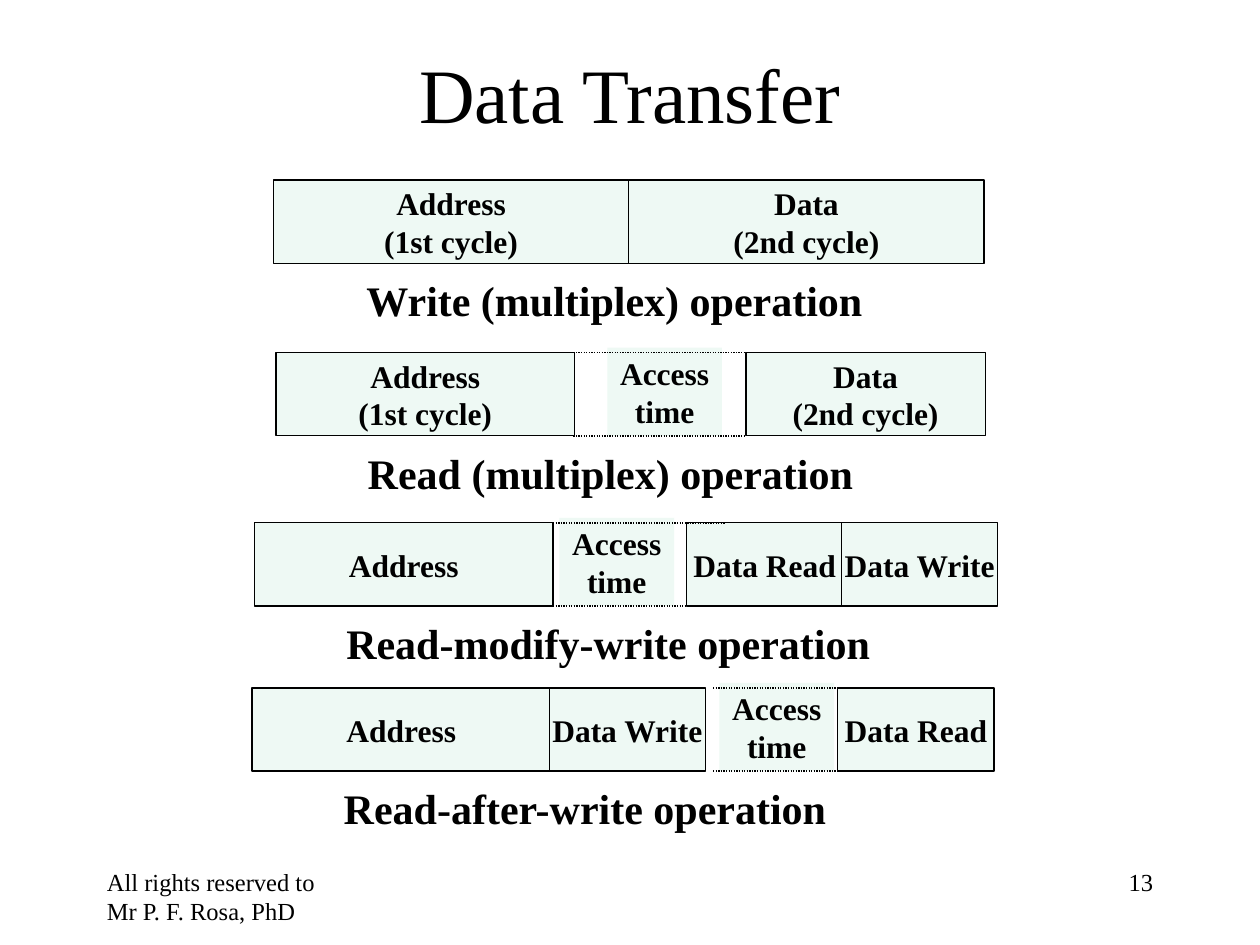
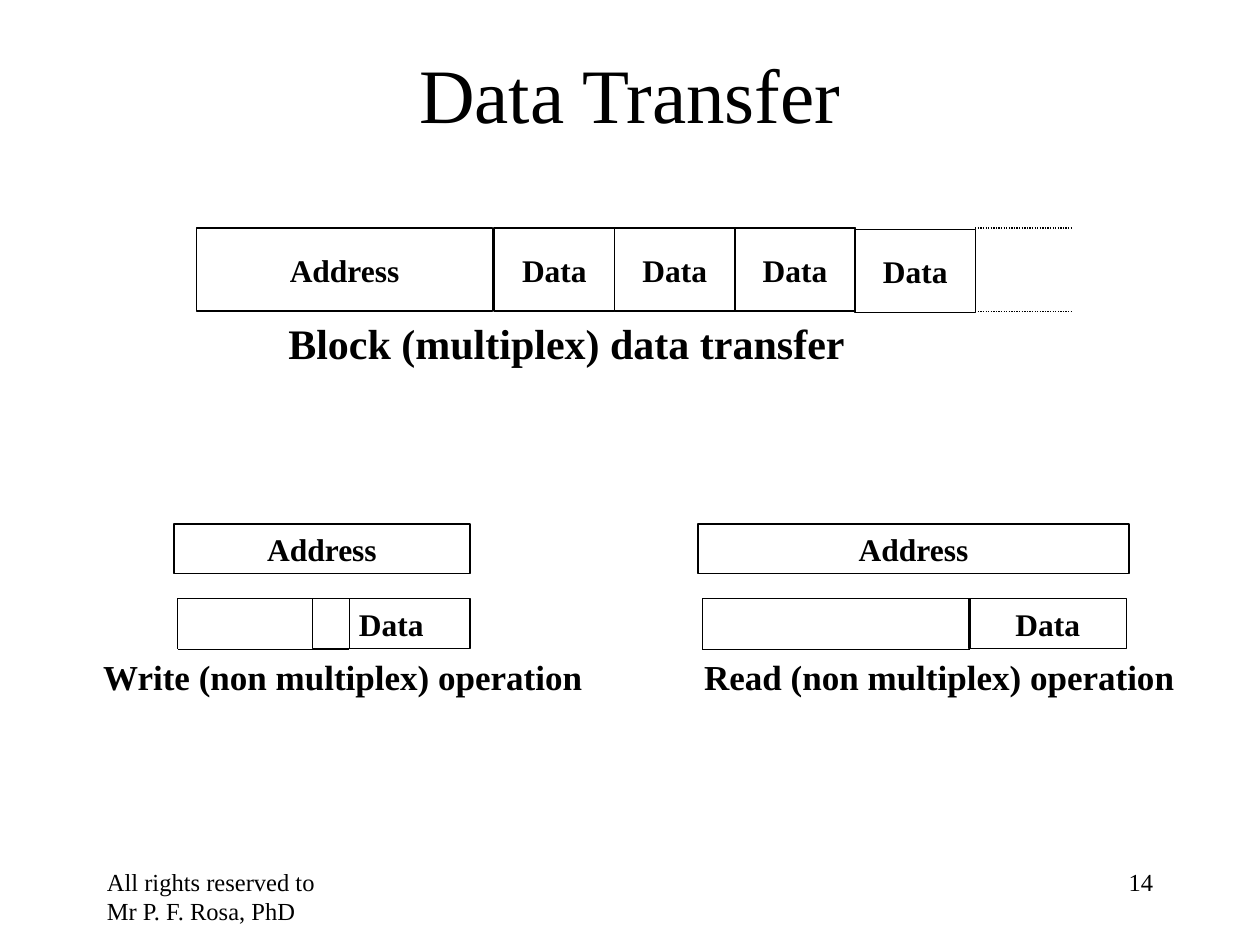
from lxml import etree
from pptx import Presentation
from pptx.dml.color import RGBColor
from pptx.enum.dml import MSO_LINE
from pptx.enum.shapes import MSO_CONNECTOR, MSO_SHAPE
from pptx.enum.text import MSO_ANCHOR, MSO_AUTO_SIZE, PP_ALIGN
from pptx.oxml.ns import qn
from pptx.util import Inches, Pt

COLORS = {"ink": "000000", "mint": "EEF9F4", "paper": "FFFFFF"}
FONT = "Times New Roman"
ROW_HEIGHT = 0.66
ACCESS_WIDTH = 0.91
ACCESS_RISE = 0.04
GAP_LINE = 1.37


def rgb(name):
    """Return the named palette colour."""
    return RGBColor.from_string(COLORS[name])


def write(shape, lines, size, bold=False, align=PP_ALIGN.CENTER,
          anchor=MSO_ANCHOR.MIDDLE, wrap=False):
    """Put styled paragraphs into a shape."""
    frame = shape.text_frame
    frame.word_wrap = wrap
    frame.vertical_anchor = anchor
    frame.text = lines
    for paragraph in frame.paragraphs:
        paragraph.alignment = align
        for run in paragraph.runs:
            run.font.name = FONT
            run.font.size = Pt(size)
            run.font.bold = bold
            run.font.color.rgb = rgb("ink")


def text(slide, box, words, size, **style):
    """Add a text box."""
    shape = slide.shapes.add_textbox(*map(Inches, box))
    write(shape, words, size, **style)
    return shape


def caption(slide, box, words, size=24):
    """Add a bold operation name that keeps to one line."""
    shape = text(slide, box, words, size, bold=True, align=PP_ALIGN.LEFT,
                 anchor=MSO_ANCHOR.TOP)
    shape.text_frame.auto_size = MSO_AUTO_SIZE.SHAPE_TO_FIT_TEXT


def block(slide, box, words="", fill=None, line=0.75, dotted=False,
          anchor=MSO_ANCHOR.MIDDLE):
    """Add a rectangle for one phase of a bus cycle."""
    shape = slide.shapes.add_shape(MSO_SHAPE.RECTANGLE, *map(Inches, box))
    shape.shadow.inherit = False
    if fill:
        shape.fill.solid()
        shape.fill.fore_color.rgb = rgb(fill)
    else:
        shape.fill.background()
    if line:
        shape.line.color.rgb = rgb("ink")
        shape.line.width = Pt(line)
        if dotted:
            shape.line.dash_style = MSO_LINE.ROUND_DOT
    else:
        shape.line.fill.background()
    if words:
        write(shape, words, 18, bold=True, anchor=anchor)


def dotted_line(slide, start, end):
    """Add a dotted line between two points."""
    line = slide.shapes.add_connector(MSO_CONNECTOR.STRAIGHT,
                                      *map(Inches, start + end))
    line.line.color.rgb = rgb("ink")
    line.line.width = Pt(0.75)
    line.line.dash_style = MSO_LINE.ROUND_DOT
    etree.SubElement(line._element.spPr, qn("a:effectLst"))


def access_gap(slide, left, top, label_left):
    """Add the access time label and the dotted lines that bound it."""
    block(slide, (label_left, top - ACCESS_RISE, ACCESS_WIDTH,
                  ROW_HEIGHT + ACCESS_RISE), "Access\ntime", "mint", None,
          anchor=MSO_ANCHOR.TOP)
    for y in (top, top + ROW_HEIGHT):
        dotted_line(slide, (left, y), (left + GAP_LINE, y))


def operation(slide, top, phases, name, name_left, name_width, gap=None):
    """Add a multiplexed timing row with its caption."""
    for left, width, words in phases:
        block(slide, (left, top, width, ROW_HEIGHT), words, "mint")
    if gap:
        access_gap(slide, gap[0], top, gap[1])
    caption(slide, (name_left, top + 0.7, name_width, 0.5), name)


def block_transfer(slide, left, top):
    """Add the address block, its run of data blocks and the open end."""
    block(slide, (left, top, 2.35, ROW_HEIGHT), "Address")
    data_left, data_width, count = left + 2.36, 0.955, 4
    for i in range(count):
        drop = 0.01 if i == count - 1 else 0
        block(slide, (data_left + i * data_width, top + drop, 0.96, ROW_HEIGHT), "Data")
    end = data_left + count * data_width
    for y in (top, top + ROW_HEIGHT):
        dotted_line(slide, (end, y), (end + 0.76, y))
    caption(slide, (left + 0.63, top + ROW_HEIGHT, 4.66, 0.51),
            "Block (multiplex) data transfer")


def parallel_operation(slide, left, top, width, wait_width, data_left, name,
                       name_left, name_width):
    """Add an address bar over its waiting time and data."""
    lower = top + 0.59
    block(slide, (left + 0.03, lower, wait_width, 0.4), line=0.25, dotted=True)
    block(slide, (left, top, width, 0.39), "Address")
    block(slide, (data_left, lower, 1.25, 0.4), "Data")
    caption(slide, (name_left, lower + 0.4, name_width, 0.44), name, 20)


def new_slide(deck, number):
    """Add a slide with the shared title, footer and number."""
    slide = deck.slides.add_slide(deck.slide_layouts[6])
    slide.background.fill.solid()
    slide.background.fill.fore_color.rgb = rgb("paper")
    footer = {"anchor": MSO_ANCHOR.TOP, "wrap": True}
    text(slide, (0.75, 6.83, 2.08, 0.5), "All rights reserved to Mr P. F. Rosa, PhD",
         14, align=PP_ALIGN.LEFT, **footer)
    text(slide, (7.17, 6.83, 2.08, 0.5), str(number), 14,
         align=PP_ALIGN.RIGHT, **footer)
    text(slide, (0.75, 0.28, 8.5, 0.91), "Data Transfer", 44, wrap=True)
    return slide


def multiplex_slide(deck):
    """Build the slide of the four multiplexed operations."""
    slide = new_slide(deck, 13)
    first, second = "Address\n(1st cycle)", "Data\n(2nd cycle)"
    operation(slide, 1.43, [(2.17, 2.82, first), (4.99, 2.82, second)],
              "Write (multiplex) operation", 2.81, 4.18)
    operation(slide, 2.8, [(2.19, 2.37, first), (5.92, 1.9, second)],
              "Read (multiplex) operation", 2.82, 4.09, (4.55, 4.82))
    operation(slide, 4.15, [(2.02, 2.37, "Address"), (5.45, 1.24, "Data Read"),
                            (6.68, 1.24, "Data Write")],
              "Read-modify-write operation", 2.65, 4.4, (4.39, 4.44))
    operation(slide, 5.46, [(2, 2.37, "Address"), (4.36, 1.24, "Data Write"),
                            (6.65, 1.24, "Data Read")],
              "Read-after-write operation", 2.63, 4.07, (5.66, 5.71))


def transfer_slide(deck):
    """Build the slide of block and non multiplexed transfers."""
    slide = new_slide(deck, 14)
    block_transfer(slide, 1.56, 1.81)
    parallel_operation(slide, 1.38, 4.16, 2.35, 1.36, 2.48,
                       "Write (non multiplex) operation", 0.72, 4.03)
    parallel_operation(slide, 5.54, 4.16, 3.42, 2.13, 7.69,
                       "Read (non multiplex) operation", 5.49, 3.96)


def main():
    """Build and save the presentation."""
    deck = Presentation()
    deck.slide_width, deck.slide_height = Inches(10), Inches(7.5)
    multiplex_slide(deck)
    transfer_slide(deck)
    deck.save("out.pptx")


main()
